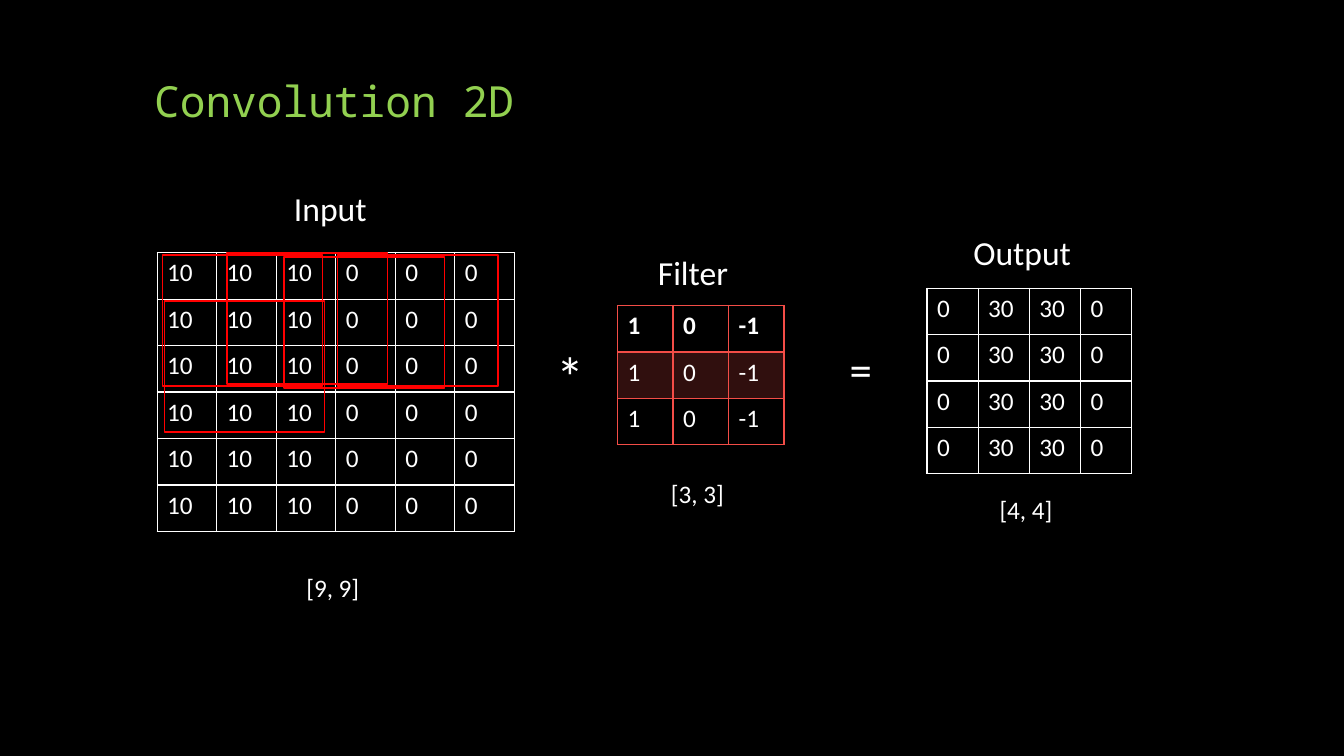
from lxml import etree
from pptx import Presentation
from pptx import util as u
from pptx.dml.color import RGBColor
from pptx.enum import shapes, text
from pptx.oxml import ns

BLACK = RGBColor(0x00, 0x00, 0x00)
WHITE = RGBColor(0xFF, 0xFF, 0xFF)
GREEN = RGBColor(0x92, 0xD0, 0x50)
CORAL = RGBColor(0xF3, 0x4D, 0x47)
RED = RGBColor(0xFF, 0x00, 0x00)


class ConvolutionSlide:
    body_font = "Calibri"
    title_font = "Noto Sans Mono"

    def __init__(self, deck):
        self.slide = deck.slides.add_slide(deck.slide_layouts[5])
        fill = self.slide.background.fill
        fill.solid()
        fill.fore_color.rgb = BLACK

    def add_wording(self, frame, wording, size, color=WHITE, font=body_font, bold=False):
        paragraph = frame.paragraphs[0]
        paragraph.alignment = text.PP_ALIGN.LEFT
        run = paragraph.add_run()
        run.text = wording
        run.font.size = u.Pt(size)
        run.font.name = font
        run.font.bold = bold
        run.font.color.rgb = color
        return paragraph

    def title(self, wording, left, top, width, height):
        heading = self.slide.shapes.title
        heading.left, heading.top = u.Cm(left), u.Cm(top)
        heading.width, heading.height = u.Cm(width), u.Cm(height)
        frame = heading.text_frame
        frame.auto_size = text.MSO_AUTO_SIZE.NONE
        frame.vertical_anchor = text.MSO_ANCHOR.BOTTOM
        self.add_wording(frame, wording, 30.6, GREEN, self.title_font).line_spacing = 0.9

    def label(self, wording, size, left, top, width, height):
        box = self.slide.shapes.add_textbox(u.Cm(left), u.Cm(top), u.Cm(width), u.Cm(height))
        box.text_frame.word_wrap = True
        box.text_frame.auto_size = text.MSO_AUTO_SIZE.SHAPE_TO_FIT_TEXT
        self.add_wording(box.text_frame, wording, size)

    def border(self, cell, color, top=1, bottom=1):
        properties = cell._tc.get_or_add_tcPr()
        for side, points in (("L", 1), ("R", 1), ("T", top), ("B", bottom)):
            line = etree.SubElement(properties, ns.qn(f"a:ln{side}"), w=str(u.Pt(points)))
            solid = etree.SubElement(line, ns.qn("a:solidFill"))
            etree.SubElement(solid, ns.qn("a:srgbClr"), val=str(color))

    def tint(self, cell, color, percent):
        cell.fill.solid()
        cell.fill.fore_color.rgb = color
        shade = cell._tc.tcPr.find(ns.qn("a:solidFill")).find(ns.qn("a:srgbClr"))
        etree.SubElement(shade, ns.qn("a:alpha"), val=str(percent * 1000))

    def matrix(self, values, left, top, column, row, color=WHITE, header=False):
        count_rows, count_columns = len(values), len(values[0])
        grid = self.slide.shapes.add_table(
            count_rows, count_columns, u.Cm(left), u.Cm(top),
            u.Cm(column * count_columns), u.Cm(row * count_rows)).table
        grid.first_row = header
        grid.horz_banding = False
        for grid_column in grid.columns:
            grid_column.width = u.Cm(column)
        for r, numbers in enumerate(values):
            grid.rows[r].height = u.Cm(row)
            for c, number in enumerate(numbers):
                cell = grid.cell(r, c)
                self.border(cell, color,
                            top=2 if header and r == 1 else 1,
                            bottom=2 if header and r == 0 else 1)
                if header and r == 1:
                    self.tint(cell, color, 20)
                else:
                    cell.fill.background()
                self.add_wording(cell.text_frame, str(number), 18, bold=header and r == 0)

    def window(self, left, top, width=4.04, height=3.3):
        frame = self.slide.shapes.add_shape(
            shapes.MSO_SHAPE.RECTANGLE, u.Cm(left), u.Cm(top), u.Cm(width), u.Cm(height))
        frame.shadow.inherit = False
        frame.fill.background()
        frame.line.color.rgb = RED
        frame.line.width = u.Pt(1)


def main():
    deck = Presentation()
    deck.slide_width, deck.slide_height = u.Cm(33.87), u.Cm(19.05)
    page = ConvolutionSlide(deck)
    page.title("Convolution 2D", 3.63, 1.85, 17.4, 1.47)

    page.matrix([[10] * 3 + [0] * 3] * 6, 3.96, 6.37, 1.5, 1.17)
    page.matrix([[1, 0, -1]] * 3, 15.56, 7.7, 1.4, 1.17, CORAL, header=True)
    page.label("*", 40, 13.77, 8.48, 0.99, 1.96)
    page.matrix([[0, 30, 30, 0]] * 4, 23.36, 7.26, 1.29, 1.17)
    page.label("=", 32, 21.16, 8.48, 3, 1.63)

    for dimensions, left, top in (("[9, 9]", 7.47, 14.3),
                                  ("[3, 3]", 16.66, 11.94),
                                  ("[4, 4]", 24.94, 12.34)):
        page.label(dimensions, 18, left, top, 2.01, 1.02)
    for caption, left, top, width in (("Input", 7.16, 4.62, 2.62),
                                      ("Filter", 16.33, 6.22, 2.62),
                                      ("Output", 24.28, 5.72, 3.89)):
        page.label(caption, 24, left, top, width, 1.27)

    for left, top in ((4.09, 6.43), (5.72, 6.38), (7.16, 6.48), (8.51, 6.43), (4.14, 7.59)):
        page.window(left, top)

    deck.save("out.pptx")


if __name__ == "__main__":
    main()
